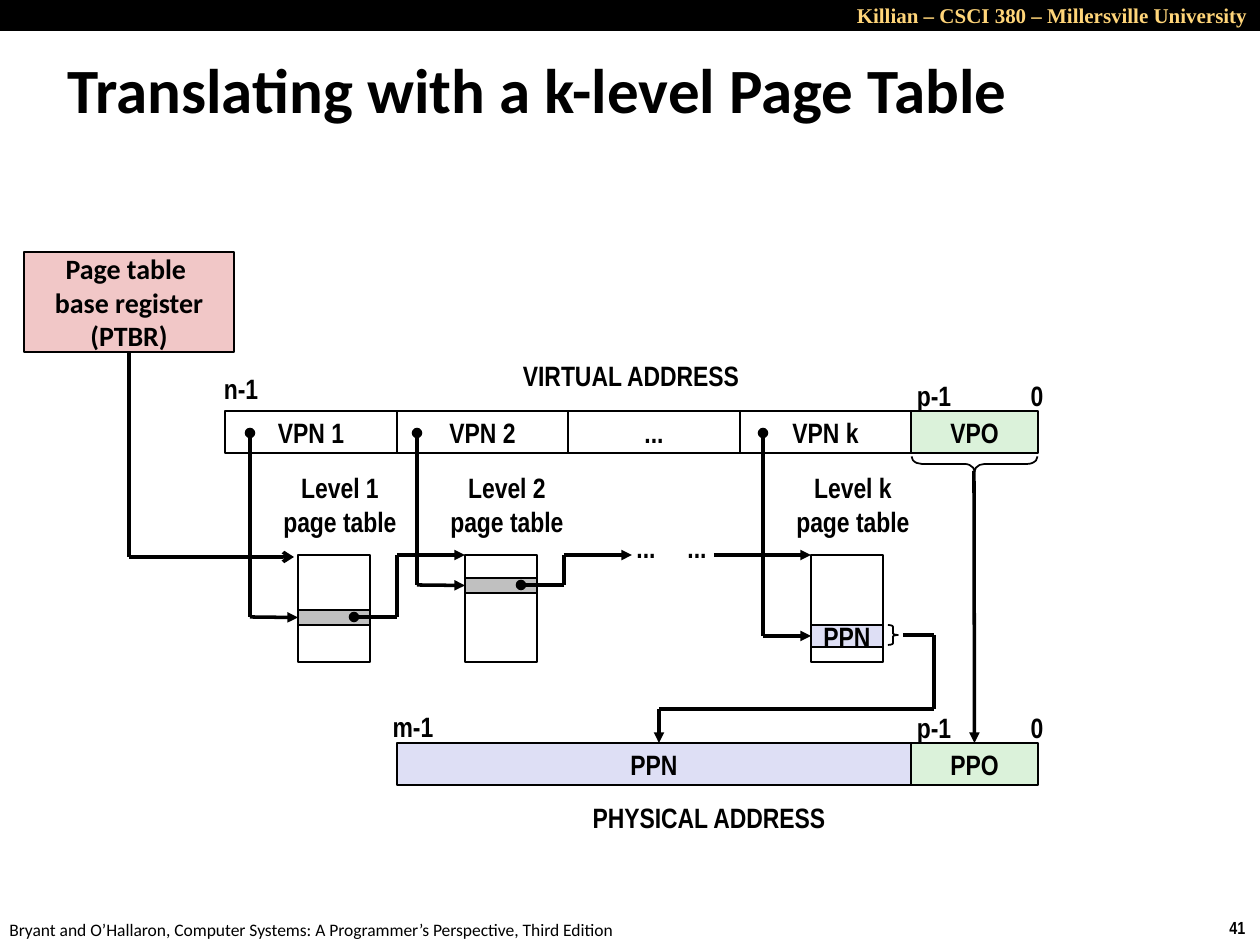
from itertools import pairwise

from lxml import etree
from pptx import Presentation
from pptx.dml.color import RGBColor
from pptx.enum.shapes import MSO_CONNECTOR, MSO_SHAPE
from pptx.enum.text import MSO_ANCHOR, MSO_AUTO_SIZE, PP_ALIGN
from pptx.oxml.ns import qn
from pptx.util import Emu, Inches, Pt

PX_PER_INCH = 126
BLACK = RGBColor(0x00, 0x00, 0x00)
GOLD = RGBColor(0xFF, 0xD5, 0x79)
PINK = RGBColor(0xF1, 0xC7, 0xC7)
GREEN = RGBColor(0xDB, 0xF2, 0xDA)
LAVENDER = RGBColor(0xDE, 0xDF, 0xF5)
GRAY = RGBColor(0xC0, 0xC0, 0xC0)

RECT, BRACE = MSO_SHAPE.RECTANGLE, MSO_SHAPE.RIGHT_BRACE
STRAIGHT = MSO_CONNECTOR.STRAIGHT
LEFT, CENTER, RIGHT = PP_ALIGN.LEFT, PP_ALIGN.CENTER, PP_ALIGN.RIGHT
TOP, MIDDLE = MSO_ANCHOR.TOP, MSO_ANCHOR.MIDDLE
TOP_SIDE, LEFT_SIDE, BOTTOM_SIDE = 0, 1, 2

DIAGRAM_FONT = {"name": "Arial Narrow", "size": Pt(16), "bold": True}
REGISTER_FONT = {"name": "Calibri", "size": Pt(16), "bold": True}
TITLE_FONT = {"name": "Calibri", "size": Pt(36), "bold": True}
HEADER_FONT = {"name": "Times New Roman", "size": Pt(12), "bold": True}
FOOTER_FONT = {"name": "Calibri", "size": Pt(10), "bold": False}
NUMBER_FONT = {"name": "Arial Narrow", "size": Pt(10), "bold": True}

# Diagram measures in px
ROW_HEIGHT = 42
LABEL_HEIGHT = 47
TABLE_TOP, TABLE_WIDTH, TABLE_HEIGHT = 555, 72, 107
VIRTUAL_TOP, PHYSICAL_TOP = 411, 743
OFFSET_LEFT, OFFSET_RIGHT = 911, 1038
OFFSET_CENTER = (OFFSET_LEFT + OFFSET_RIGHT) // 2


def px(*lengths):
    return [Emu(round(n * Inches(1) / PX_PER_INCH)) for n in lengths]


def write(frame, paragraphs, font, color=BLACK, align=CENTER, anchor=MIDDLE, wrap=False):
    frame.word_wrap = wrap
    frame.vertical_anchor = anchor
    for i, text in enumerate(paragraphs):
        paragraph = frame.add_paragraph() if i else frame.paragraphs[0]
        paragraph.text = text
        paragraph.alignment = align
        for key, value in font.items():
            setattr(paragraph.font, key, value)
        paragraph.font.color.rgb = color


def add_text(slide, box, paragraphs, font, **options):
    textbox = slide.shapes.add_textbox(*px(*box))
    write(textbox.text_frame, paragraphs, font, **options)


def add_label(slide, center, top, width, *paragraphs, height=LABEL_HEIGHT):
    add_text(slide, (center - width / 2, top, width, height), paragraphs, DIAGRAM_FONT)


def add_outline(slide, box, kind=RECT, fill=None):
    shape = slide.shapes.add_shape(kind, *px(*box))
    shape.shadow.inherit = False
    if fill is None:
        shape.fill.background()
    else:
        shape.fill.solid()
        shape.fill.fore_color.rgb = fill
    shape.line.color.rgb = BLACK
    shape.line.width = Pt(1)
    return shape


def add_field(slide, box, text, fill=None):
    field = add_outline(slide, box, fill=fill)
    write(field.text_frame, [text], DIAGRAM_FONT)
    return field


def add_path(slide, points, head=None, tail=None, source=None, target=None):
    """Straight segments through the points; source and target are (shape, side)."""
    segments = [slide.shapes.add_connector(STRAIGHT, *px(*start, *end))
                for start, end in pairwise(points)]
    if source:
        segments[0].begin_connect(*source)
    if target:
        segments[-1].end_connect(*target)
    for segment in segments:
        segment.line.color.rgb = BLACK
        segment.line.width = Pt(2)
        etree.SubElement(segment._element.spPr, qn("a:effectLst"))
    for segment, tag, end in ((segments[0], "a:headEnd", head), (segments[-1], "a:tailEnd", tail)):
        if end:
            line = segment._element.spPr.find(qn("a:ln"))
            etree.SubElement(line, qn(tag), type=end)


def add_page_frame(slide, width, height):
    # Header band, footer and page number
    band = add_outline(slide, (0, 0, width, 31), fill=BLACK)
    band.line.fill.background()
    add_text(slide, (width - 417, -4, 417, 38), ["Killian – CSCI 380 – Millersville University"],
             HEADER_FONT, color=GOLD, align=RIGHT, anchor=TOP, wrap=True)
    add_text(slide, (-3, height - 32, 640, 34),
             ["Bryant and O’Hallaron, Computer Systems: A Programmer’s Perspective, Third Edition"],
             FOOTER_FONT, align=LEFT, anchor=TOP)
    add_text(slide, (width - 43, height - 34, 43, 34), ["41"], NUMBER_FONT, align=LEFT, anchor=TOP)


def add_title(slide, box):
    title = slide.shapes.title
    title.left, title.top, title.width, title.height = px(*box)
    write(title.text_frame, ["Translating with a k-level Page Table"], TITLE_FONT,
          align=LEFT, wrap=True)
    title.text_frame.auto_size = MSO_AUTO_SIZE.NONE


def add_address(slide, top, edges, fields):
    """A row of (text, fill) fields between the edges, with the offset bits labelled."""
    row = [add_field(slide, (left, top, right - left, ROW_HEIGHT), text, fill)
           for (left, right), (text, fill) in zip(pairwise(edges), fields)]
    add_label(slide, OFFSET_LEFT + 23, top - 39, 60, "p-1")
    add_label(slide, OFFSET_RIGHT - 1, top - 39, 38, "0")
    return row


def add_page_table(slide, left, level, entry_top, entry_height, fill, ppn=None):
    # Table, its entry and the index pointer from the VPN
    add_outline(slide, (left, TABLE_TOP, TABLE_WIDTH, TABLE_HEIGHT))
    entry_box = (left, entry_top, TABLE_WIDTH, entry_height)
    entry = add_field(slide, entry_box, ppn, fill) if ppn else add_outline(slide, entry_box, fill=fill)
    middle = entry_top + entry_height // 2
    index = left - 48
    add_path(slide, [(index, 433), (index, middle), (left, middle)],
             head="oval", tail="triangle", target=(entry, LEFT_SIDE))
    add_label(slide, left + 42, 464, 140, f"Level {level}", "page table", height=81)
    # Link from the entry to the next level
    if not ppn:
        bend = left + 99
        add_path(slide, [(left + 56, middle), (bend, middle), (bend, TABLE_TOP),
                         (left + 167, TABLE_TOP)], head="oval", tail="triangle")


def add_register(slide, box):
    register = add_outline(slide, box, fill=PINK)
    write(register.text_frame, ["Page table \nbase register", "(PTBR)"], REGISTER_FONT, wrap=True)
    left, top, width, height = box
    center = left + width // 2
    add_path(slide, [(center, top + height), (center, 557), (294, 557)],
             tail="arrow", source=(register, BOTTOM_SIDE))


def add_brace(slide, box, curve, rotation=0):
    brace = add_outline(slide, box, BRACE)
    brace.adjustments[0] = curve
    brace.rotation = rotation


def add_diagram(slide):
    add_register(slide, (24, 252, 210, 100))

    # Virtual and physical addresses
    add_address(slide, VIRTUAL_TOP, [225, 397, 568, 740, OFFSET_LEFT, OFFSET_RIGHT],
                [("VPN 1", None), ("VPN 2", None), ("...", None), ("VPN k", None), ("VPO", GREEN)])
    add_label(slide, 241, 365, 60, "n-1")
    add_label(slide, 631, 352, 244, "VIRTUAL ADDRESS")
    _, ppo = add_address(slide, PHYSICAL_TOP, [397, OFFSET_LEFT, OFFSET_RIGHT],
                         [("PPN", LAVENDER), ("PPO", GREEN)])
    add_label(slide, 413, 703, 67, "m-1")
    add_label(slide, 709, 794, 262, "PHYSICAL ADDRESS")

    # Page tables
    add_page_table(slide, 298, "1", 610, 15, GRAY)
    add_page_table(slide, 465, "2", 578, 15, GRAY)
    add_page_table(slide, 811, "k", 625, 22, LAVENDER, ppn="PPN")
    for center in (646, 697):
        add_label(slide, center, 524, 45, "...")
    add_path(slide, [(714, TABLE_TOP), (811, TABLE_TOP)], tail="triangle")

    # Page number and offset carried to the physical address
    add_brace(slide, (888, 625, 10, 20), 0.16)
    add_path(slide, [(903, 635), (934, 635), (934, 709), (659, 709), (659, PHYSICAL_TOP)],
             tail="triangle")
    add_brace(slide, (OFFSET_CENTER - 7, 401, 15, 126), 0.68, rotation=90)
    add_path(slide, [(OFFSET_CENTER, 471), (OFFSET_CENTER, PHYSICAL_TOP)],
             tail="triangle", target=(ppo, TOP_SIDE))


def main():
    deck = Presentation()
    deck.slide_width, deck.slide_height = Inches(10), Inches(7.5)
    slide = deck.slides.add_slide(deck.slide_layouts[5])
    add_page_frame(slide, 1260, 945)
    add_title(slide, (55, 34, 1142, 108))
    add_diagram(slide)
    deck.save("out.pptx")


if __name__ == "__main__":
    main()
